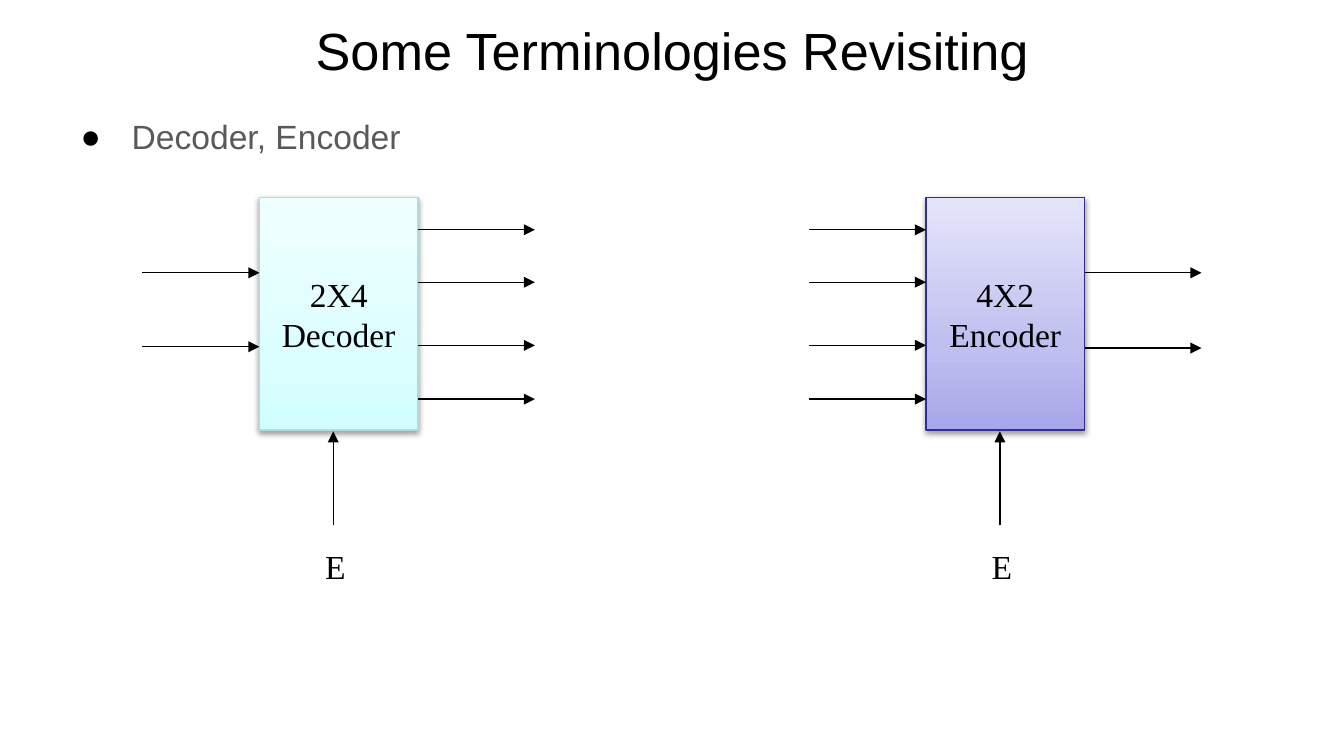
from copy import deepcopy

from lxml import etree
from pptx import Presentation
from pptx.dml.color import RGBColor
from pptx.enum.shapes import MSO_CONNECTOR, MSO_SHAPE
from pptx.enum.text import MSO_ANCHOR, MSO_AUTO_SIZE, PP_ALIGN
from pptx.oxml.ns import qn
from pptx.util import Inches, Pt

CENTER, LEFT = PP_ALIGN.CENTER, PP_ALIGN.LEFT
MIDDLE, TOP = MSO_ANCHOR.MIDDLE, MSO_ANCHOR.TOP
NO_AUTOFIT = MSO_AUTO_SIZE.NONE
STRAIGHT, RECTANGLE = MSO_CONNECTOR.STRAIGHT, MSO_SHAPE.RECTANGLE

BLACK = "000000"
SLIDE_WIDTH = 10
SLIDE_HEIGHT = SLIDE_WIDTH * 9 / 16
BOX_TOP, BOX_WIDTH, BOX_HEIGHT = 1.47, 1.18, 1.73
WIRE_LENGTH = 0.87
FOUR_WIRES = (1.71, 2.1, 2.57, 2.97)
ENABLE_OFFSET, ENABLE_TOP, ENABLE_BOTTOM = 0.55, 3.21, 3.91


def color(hex_string):
    return RGBColor.from_string(hex_string)


def add_xml(parent, tag, **attributes):
    return etree.SubElement(parent, qn(tag), attributes)


def place(shape, left, top, width, height):
    shape.left, shape.top = Inches(left), Inches(top)
    shape.width, shape.height = Inches(width), Inches(height)


def write(shape, text, size=18, font="Times New Roman", hex_color=BLACK,
          align=CENTER, anchor=MIDDLE, wrap=True):
    """Fill the shape with one formatted paragraph per line of text."""
    frame = shape.text_frame
    frame.text = text
    frame.word_wrap = wrap
    frame.auto_size = NO_AUTOFIT
    frame.vertical_anchor = anchor
    for paragraph in frame.paragraphs:
        paragraph.alignment = align
        paragraph.space_before = Pt(0)
        for run in paragraph.runs:
            run.font.size = Pt(size)
            run.font.name = font
            run.font.color.rgb = color(hex_color)


def add_bullet(paragraph, indent=0.38):
    paragraph.line_spacing = 1.15
    properties = paragraph._p.get_or_add_pPr()
    properties.set("marL", str(Inches(indent)))
    properties.set("indent", str(-Inches(indent)))
    add_xml(add_xml(properties, "a:buClr"), "a:srgbClr", val=BLACK)
    add_xml(properties, "a:buFont", typeface="Arial")
    add_xml(properties, "a:buChar", char="●")


def fill_gradient(shape, stops):
    """Blend the (position, colour) stops from bottom to top."""
    shape.fill.gradient()
    shape.fill.gradient_angle = 90
    stop_list = shape._element.spPr.find(".//" + qn("a:gsLst"))
    while len(stop_list) < len(stops):
        stop_list.append(deepcopy(stop_list[-1]))
    for stop, (position, hex_color) in zip(shape.fill.gradient_stops, stops):
        stop.position = position
        stop.color.rgb = color(hex_color)


def add_soft_shadow(shape):
    shape.shadow.inherit = False
    effects = shape._element.spPr.find(qn("a:effectLst"))
    shadow = add_xml(effects, "a:outerShdw", blurRad=str(Pt(3.1)),
                     dist=str(Pt(1.6)), dir="5400000", rotWithShape="0")
    shadow_color = add_xml(shadow, "a:srgbClr", val=BLACK)
    add_xml(shadow_color, "a:alpha", val="38000")


def add_box(slide, left, text, stops, line_color):
    box = slide.shapes.add_shape(RECTANGLE, Inches(left), Inches(BOX_TOP),
                                 Inches(BOX_WIDTH), Inches(BOX_HEIGHT))
    fill_gradient(box, stops)
    box.line.color.rgb = color(line_color)
    box.line.width = Pt(0.75)
    add_soft_shadow(box)
    write(box, text)


def add_arrow(slide, x1, y1, x2, y2):
    arrow = slide.shapes.add_connector(
        STRAIGHT, Inches(x1), Inches(y1), Inches(x2), Inches(y2))
    arrow.line.color.rgb = color(BLACK)
    arrow.line.width = Pt(0.75)
    add_xml(arrow.line._get_or_add_ln(), "a:tailEnd", type="triangle")
    add_xml(arrow._element.spPr, "a:effectLst")


def add_block(slide, left, text, stops, line_color, inputs, outputs):
    """Add a logic block with its input, output and enable wires."""
    right = left + BOX_WIDTH
    add_box(slide, left, text, stops, line_color)
    for y in inputs:
        add_arrow(slide, left - WIRE_LENGTH, y, left, y)
    for y in outputs:
        add_arrow(slide, right, y, right + WIRE_LENGTH, y)
    enable = left + ENABLE_OFFSET
    add_arrow(slide, enable, ENABLE_BOTTOM, enable, ENABLE_TOP)
    label = slide.shapes.add_textbox(Inches(enable - 0.16), Inches(4.01),
                                     Inches(0.39), Inches(0.4))
    write(label, "E", align=LEFT, anchor=TOP, wrap=False)


def main():
    presentation = Presentation()
    presentation.slide_width = Inches(SLIDE_WIDTH)
    presentation.slide_height = Inches(SLIDE_HEIGHT)
    slide = presentation.slides.add_slide(presentation.slide_layouts[1])
    title, body = slide.placeholders
    place(title, 0.5, 0.06, 9, 0.62)
    write(title, "Some Terminologies Revisiting", size=28, font="Arial")
    place(body, 0.5, 0.77, 9, 4.26)
    write(body, "Decoder, Encoder", font="Arial", hex_color="595959",
          align=LEFT, anchor=TOP)
    add_bullet(body.text_frame.paragraphs[0])

    add_block(slide, 1.93, "2X4\nDecoder",
              [(0, "CFFEFF"), (0.35, "DDFEFF"), (1, "EFFFFF")], "B5DADD",
              inputs=(2.03, 2.58), outputs=FOUR_WIRES)
    add_block(slide, 6.89, "4X2\nEncoder",
              [(0, "A6A6E9"), (0.35, "BFBFF0"), (1, "E5E5FA")], "2E2E97",
              inputs=FOUR_WIRES, outputs=(2.03, 2.59))
    presentation.save("out.pptx")


if __name__ == "__main__":
    main()
